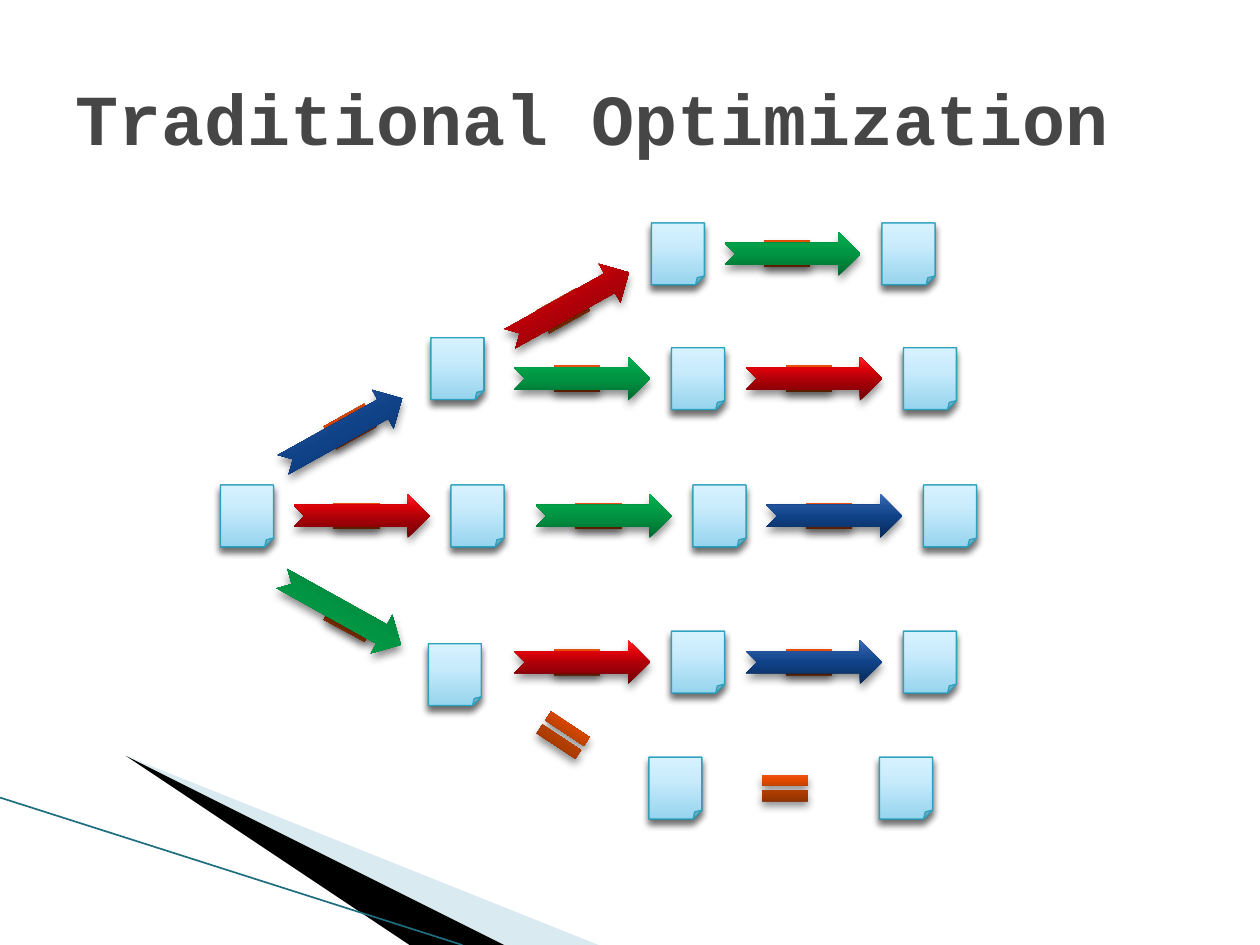
from lxml import etree
from pptx import Presentation
from pptx.dml.color import RGBColor
from pptx.enum.shapes import MSO_CONNECTOR, MSO_SHAPE
from pptx.enum.text import MSO_ANCHOR
from pptx.oxml import parse_xml
from pptx.oxml.ns import nsdecls, qn
from pptx.util import Inches, Pt

PAGE, EQUALS, ARROW = (MSO_SHAPE.FOLDED_CORNER, MSO_SHAPE.MATH_EQUAL,
                       MSO_SHAPE.NOTCHED_RIGHT_ARROW)

# Content: each row is its top and its pages (left, step that leads to the page)
TITLE = "Traditional Optimization"
ROWS = [
    (1.77, [(5.17, None), (7.00, "green")]),
    (2.68, [(3.42, None)]),
    (2.76, [(5.33, "green"), (7.17, "red")]),
    (3.85, [(1.75, None), (3.58, "red"), (5.50, "green"), (7.33, "blue")]),
    (5.11, [(3.40, None)]),
    (5.01, [(5.33, "red"), (7.17, "blue")]),
    (6.01, [(5.15, None), (6.98, "equals")]),
]
# Slanted steps: kind, left, top, rotation, flipped
BRANCHES = [
    ("equals", 4.22, 2.29, 330.9, False),
    ("equals", 2.53, 3.21, 330.9, False),
    ("equals", 4.22, 5.66, 33.4, False),
    ("equals", 2.53, 4.74, 28.3, False),
    ("red", 3.98, 2.25, 330.9, False),
    ("blue", 2.18, 3.25, 330.9, False),
    ("green", 2.17, 4.68, 29.1, True),
]
# Corner wedges: colour, opacity in percent, corners
WEDGES = [
    ("A0CBDC", 40, [(0.55, 6.5), (5.9, 7.5), (4.56, 7.5)]),
    ("000000", 100, [(0.53, 6.49), (4.53, 7.5), (3.68, 7.5)]),
]

THEME = {
    "title": {"name": "Courier New", "size": Pt(41), "bold": True},
    "title_color": "464646",
    "page_line": "2DA2BF",
    "corner_line": "1E6E80",
    "gradients": {
        "page": [(0, "96D4EE"), (65, "C9ECFC"), (100, "D7F2FF")],
        "equals": [(0, "732800"), (50, "B94100"), (70, "E64900"), (100, "FF6933")],
        "red": [(0, "6D0005"), (50, "B00008"), (70, "DA0008"), (100, "FF2429")],
        "green": [(0, "00682F"), (50, "009443"), (100, "00B050")],
        "blue": [(0, "072956"), (50, "104288"), (70, "205199"), (100, "3D6BB9")],
    },
}
PAGE_SIZE, EQUALS_SIZE, ARROW_SIZE = (0.42, 0.49), (0.5, 0.35), (1.08, 0.35)
ARROW_LEAD, EQUALS_LEAD, STEP_DROP = 1.25, 1.0, 0.07

deck = Presentation()
deck.slide_width, deck.slide_height = Inches(10), Inches(7.5)
slide = deck.slides.add_slide(deck.slide_layouts[6])
shapes = slide.shapes


def add_solid(kind, left, top, rotation=0, flipped=False):
    """Add a page, an equals sign or an arrow with its gradient and shadow."""
    preset, size = {"page": (PAGE, PAGE_SIZE),
                    "equals": (EQUALS, EQUALS_SIZE)}.get(kind, (ARROW, ARROW_SIZE))
    shape = shapes.add_shape(preset, *map(Inches, (left, top, *size)))
    shape.rotation = rotation
    properties = shape._element.spPr
    if flipped:
        properties.find(qn("a:xfrm")).set("flipV", "1")
    if kind == "page":
        shape.line.color.rgb = RGBColor.from_string(THEME["page_line"])
        shape.line.width = Pt(0.75)
        opacity, blur = 35, 4
    else:
        shape.line.fill.background()
        opacity, blur = 45, 5
    stops = "".join(f'<a:gs pos="{place * 1000}"><a:srgbClr val="{color}"/></a:gs>'
                    for place, color in THEME["gradients"][kind])
    properties.find(qn("a:prstGeom")).addnext(parse_xml(
        f'<a:gradFill {nsdecls("a")} rotWithShape="1"><a:gsLst>{stops}</a:gsLst>'
        '<a:lin ang="16200000" scaled="0"/></a:gradFill>'))
    properties.append(parse_xml(
        f'<a:effectLst {nsdecls("a")}><a:outerShdw blurRad="{Pt(blur)}" '
        f'dist="{Pt(3)}" dir="5400000" rotWithShape="0"><a:srgbClr val="000000">'
        f'<a:alpha val="{opacity * 1000}"/></a:srgbClr></a:outerShdw></a:effectLst>'))


def add_pages():
    for top, pages in ROWS:
        for left, _ in pages:
            add_solid("page", left, top)


def add_steps(equals):
    """Add all equals signs, or all arrows that lie over them."""
    lead = EQUALS_LEAD if equals else ARROW_LEAD
    for top, pages in ROWS:
        for left, step in pages:
            if step and (equals or step != "equals"):
                add_solid("equals" if equals else step, left - lead, top + STEP_DROP)
    for branch in BRANCHES:
        if (branch[0] == "equals") == equals:
            add_solid(*branch)


# Corner decoration
for color, opacity, corners in WEDGES:
    builder = shapes.build_freeform(*corners[0], scale=Inches(1))
    builder.add_line_segments(corners[1:], close=True)
    wedge = builder.convert_to_shape()
    wedge.shadow.inherit = False
    wedge.line.fill.background()
    wedge.fill.solid()
    wedge.fill.fore_color.rgb = RGBColor.from_string(color)
    tint = wedge._element.spPr.find(qn("a:solidFill"))[0]
    etree.SubElement(tint, qn("a:alpha")).set("val", str(opacity * 1000))

edge = shapes.add_connector(MSO_CONNECTOR.STRAIGHT,
                            *map(Inches, (0, 6.33, 3.67, 7.5)))
edge.line.color.rgb = RGBColor.from_string(THEME["corner_line"])
edge.line.width = Pt(0.95)
etree.SubElement(edge._element.spPr, qn("a:effectLst"))

# Title
box = shapes.add_textbox(*map(Inches, (0.5, 0.3, 9, 1.25)))
box.text_frame.word_wrap = True
box.text_frame.vertical_anchor = MSO_ANCHOR.MIDDLE
span = box.text_frame.paragraphs[0].add_run()
span.text = TITLE
for name, value in THEME["title"].items():
    setattr(span.font, name, value)
span.font.color.rgb = RGBColor.from_string(THEME["title_color"])

# Search tree: two layers of pages deepen the shadow, arrows cover the equals signs
add_pages()
add_steps(equals=True)
add_pages()
add_steps(equals=False)

deck.save("out.pptx")
